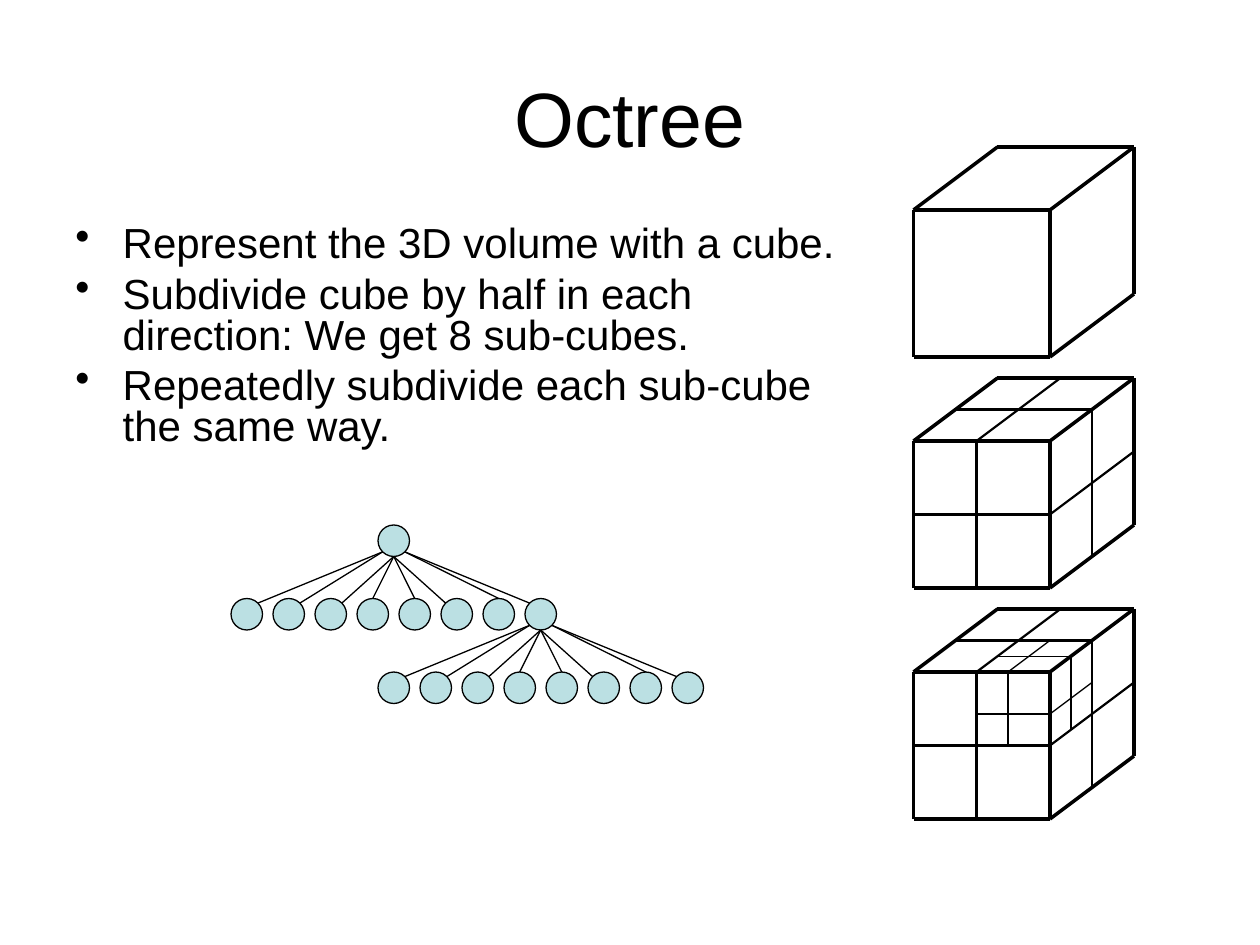
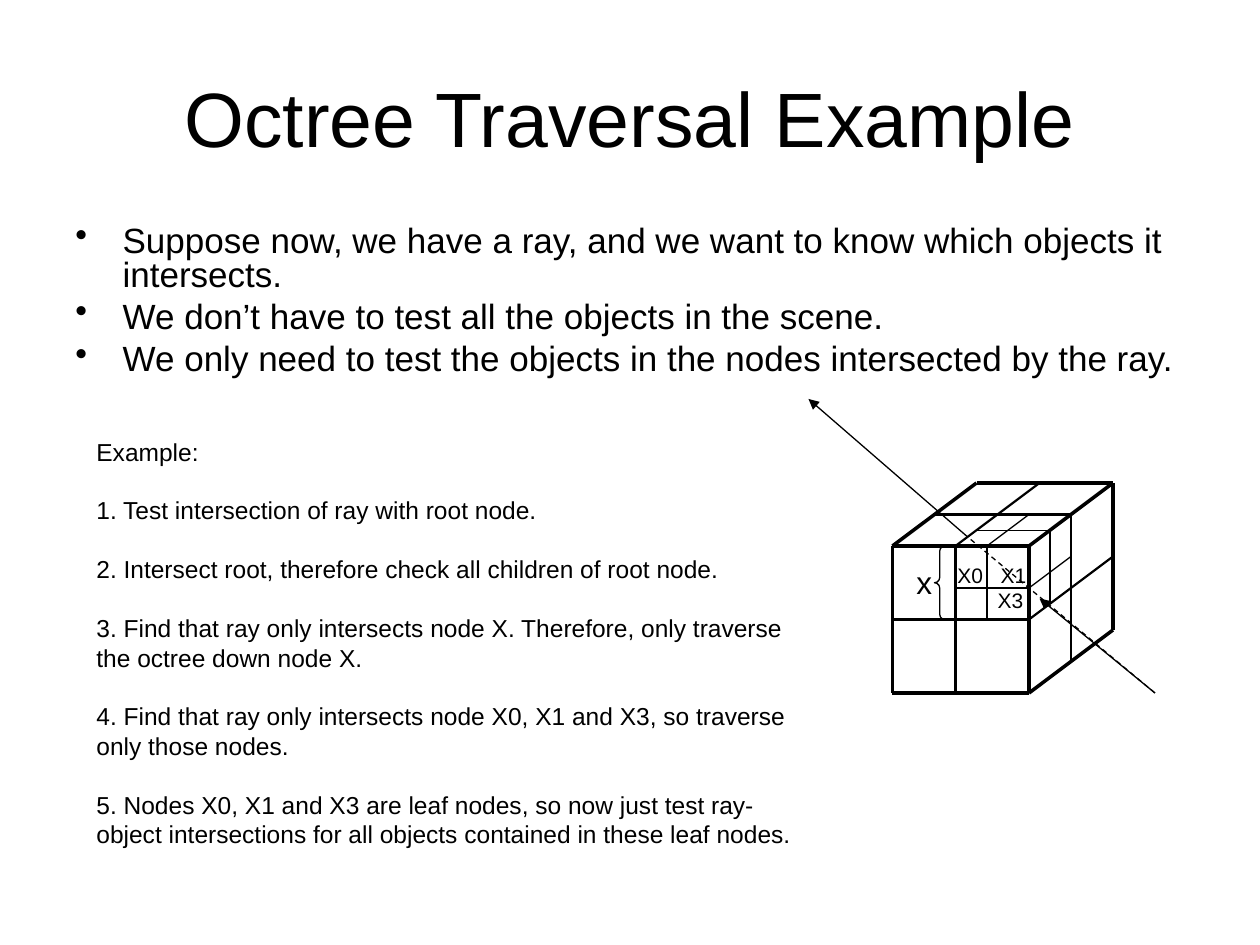
from dataclasses import dataclass
from typing import NamedTuple

from pptx import Presentation
from pptx.dml.color import RGBColor
from pptx.enum.dml import MSO_LINE
from pptx.enum.shapes import MSO_CONNECTOR, MSO_SHAPE as Preset
from pptx.enum.text import MSO_ANCHOR as Anchor, PP_ALIGN as Align
from pptx.oxml.ns import qn
from pptx.oxml.xmlchemy import OxmlElement as new_element
from pptx.shapes.autoshape import Shape
from pptx.slide import Slide
from pptx.text.text import _Paragraph as Paragraph
from pptx.util import Cm, Length, Pt

COLORS = {"ink": "000000", "node": "BBE0E3"}
FONT = "Arial"
GRID = 2.54 / 12  # both slides are laid out on a twelfth-of-an-inch grid
HAIR, MEDIUM, HEAVY = 0.75, 1.25, 2


class Point(NamedTuple):
    x: float
    y: float


class Frame(NamedTuple):
    left: float
    top: float
    width: float
    height: float


class Corner(NamedTuple):
    """A place in a cube: across, down and into the depth (0 to 1)."""
    x: float
    y: float
    z: float


@dataclass(frozen=True)
class Block:
    near: Corner  # top left of the front face
    far: Corner   # bottom right of the back face
    split: Corner
    weight: float


@dataclass(frozen=True)
class Cube:
    origin: Point
    blocks: tuple[Block, ...] = ()


@dataclass(frozen=True)
class Bullets:
    frame: Frame
    size: float
    space: float
    lines: tuple[str, ...]


# Cube geometry
START, END = Corner(0, 0, 0), Corner(13, 14, 1)
SLANT = Point(8, -6)
HALVES = Block(START, END, Corner(6, 7, 0.5), MEDIUM)
QUARTERS = Block(Corner(6, 0, 0), Corner(13, 7, 0.5), Corner(9, 4, 0.25), HAIR)

# Tree geometry
NODE, FIRST_CHILD, CHILD_STEP, LEVEL_STEP = 3, -14, 4, 7
INSET = 0.44
TOP, BOTTOM = Point(NODE / 2, 0), Point(NODE / 2, NODE)
TOP_LEFT, TOP_RIGHT = Point(INSET, INSET), Point(NODE - INSET, INSET)
BOTTOM_LEFT, BOTTOM_RIGHT = Point(INSET, NODE - INSET), Point(NODE - INSET, NODE - INSET)
PARENT_ENDS = [BOTTOM_LEFT] * 2 + [BOTTOM] * 4 + [BOTTOM_RIGHT] * 2
CHILD_ENDS = [TOP_RIGHT] * 3 + [TOP] * 2 + [TOP_LEFT, TOP, TOP_LEFT]

# Wording
OCTREE_BULLETS = Bullets(Frame(6, 21, 75, 24), 24, 6, (
    "Represent the 3D volume with a cube.",
    "Subdivide cube by half in each direction: We get 8 sub-cubes.",
    "Repeatedly subdivide each sub-cube the same way.",
))
TRAVERSAL_BULLETS = Bullets(Frame(6, 21, 108, 21), 20, 5, (
    "Suppose now, we have a ray, and we want to know which objects it intersects.",
    "We don’t have to test all the objects in the scene.",
    "We only need to test the objects in the nodes intersected by the ray.",
))
STEPS = (
    "Example:",
    "1. Test intersection of ray with root node.",
    "2. Intersect root, therefore check all children of root node.",
    "3. Find that ray only intersects node X. Therefore, only traverse the octree down node X.",
    "4. Find that ray only intersects node X0, X1 and X3, so traverse only those nodes.",
    "5. Nodes X0, X1 and X3 are leaf nodes, so now just test ray-object intersections "
    "for all objects contained in these leaf nodes.",
)


def grid(units: float) -> Length:
    return Cm(units * GRID)


def color(name: str) -> RGBColor:
    return RGBColor.from_string(COLORS[name])


def shift(start: Point, offset: Point) -> Point:
    return Point(start.x + offset.x, start.y + offset.y)


# Text
def add_text(page: Slide, frame: Frame, lines: tuple[str, ...], size: float) -> Shape:
    box = page.shapes.add_textbox(*map(grid, frame))
    box.text_frame.word_wrap = True
    box.text_frame.text = "\n".join(lines)
    for para in box.text_frame.paragraphs:
        for span in para.runs:
            span.font.name = FONT
            span.font.size = Pt(size)
            span.font.color.rgb = color("ink")
    return box


def add_title(page: Slide, title: str) -> None:
    box = add_text(page, Frame(6, 3.6, 108, 15), (title,), 44)
    box.text_frame.vertical_anchor = Anchor.MIDDLE
    box.text_frame.paragraphs[0].alignment = Align.CENTER


def set_indent(para: Paragraph, margin: Length, first: Length) -> None:
    props = para._p.get_or_add_pPr()
    props.set("marL", str(margin))
    props.set("indent", str(first))


def add_bullets(page: Slide, bullets: Bullets) -> None:
    box = add_text(page, bullets.frame, bullets.lines, bullets.size)
    for para in box.text_frame.paragraphs:
        para.line_spacing = 0.8
        para.space_before = Pt(bullets.space)
        set_indent(para, grid(4.5), grid(-4.5))
        mark = new_element("a:buChar")
        mark.set("char", "•")
        para._p.get_or_add_pPr().append(mark)


def add_tab(para: Paragraph, place: Length) -> None:
    tabs, tab = new_element("a:tabLst"), new_element("a:tab")
    tab.set("pos", str(place))
    tab.set("algn", "l")
    tabs.append(tab)
    para._p.get_or_add_pPr().append(tabs)


# Lines and shapes
def add_line(page: Slide, start: Point, end: Point, weight: float = HAIR,
             dashed: bool = False, arrow: bool = False) -> None:
    line = page.shapes.add_connector(MSO_CONNECTOR.STRAIGHT, *map(grid, (*start, *end)))
    line.line.width = Pt(weight)
    line.line.color.rgb = color("ink")
    if dashed:
        line.line.dash_style = MSO_LINE.DASH
    props = line._element.spPr
    if arrow:
        head = new_element("a:tailEnd")
        head.set("type", "triangle")
        props.find(qn("a:ln")).append(head)
    props.append(new_element("a:effectLst"))


def add_outlined(page: Slide, preset: Preset, frame: Frame) -> Shape:
    shape = page.shapes.add_shape(preset, *map(grid, frame))
    shape.shadow.inherit = False
    shape.fill.background()
    shape.line.color.rgb = color("ink")
    shape.line.width = Pt(HAIR)
    return shape


# Cubes
def add_cube_edge(page: Slide, origin: Point, start: Corner, end: Corner, weight: float) -> None:
    ends = [shift(origin, Point(c.x + c.z * SLANT.x, c.y + c.z * SLANT.y))
            for c in (start, end)]
    add_line(page, *ends, weight)


def add_split(page: Slide, origin: Point, block: Block) -> None:
    """Draw the three cutting planes where they meet the front, top and side."""
    (x0, y0, z0), (x1, y1, z1), (x, y, z) = block.near, block.far, block.split
    for start, end in (
        ((x, y0, z0), (x, y1, z0)), ((x, y0, z0), (x, y0, z1)),
        ((x0, y, z0), (x1, y, z0)), ((x1, y, z0), (x1, y, z1)),
        ((x0, y0, z), (x1, y0, z)), ((x1, y0, z), (x1, y1, z)),
    ):
        add_cube_edge(page, origin, Corner(*start), Corner(*end), block.weight)


def add_cube(page: Slide, cube: Cube) -> None:
    rim = Block(START, END, Corner(START.x, END.y, END.z), HEAVY)
    add_split(page, cube.origin, rim)
    nearest = Corner(END.x, START.y, START.z)
    for end in (START, nearest._replace(y=END.y), nearest._replace(z=END.z)):
        add_cube_edge(page, cube.origin, nearest, end, HEAVY)
    for block in cube.blocks:
        add_split(page, cube.origin, block)


# Tree
def add_node(page: Slide, place: Point) -> None:
    node = add_outlined(page, Preset.OVAL, Frame(*place, NODE, NODE))
    node.fill.solid()
    node.fill.fore_color.rgb = color("node")


def add_children(page: Slide, parent: Point) -> Point:
    """Draw eight children and return the place of the last one."""
    child = parent
    for index, (parent_end, child_end) in enumerate(zip(PARENT_ENDS, CHILD_ENDS)):
        child = shift(parent, Point(FIRST_CHILD + index * CHILD_STEP, LEVEL_STEP))
        add_node(page, child)
        add_line(page, shift(child, child_end), shift(parent, parent_end))
    return child


# Slides
def build_octree(page: Slide) -> None:
    add_title(page, "Octree")
    add_bullets(page, OCTREE_BULLETS)
    for level, blocks in enumerate(((), (HALVES,), (HALVES, QUARTERS))):
        add_cube(page, Cube(Point(87, 20 + 22 * level), blocks))
    root = Point(36, 50)
    add_node(page, root)
    add_children(page, add_children(page, root))


def build_traversal(page: Slide) -> None:
    add_title(page, "Octree Traversal Example")
    add_bullets(page, TRAVERSAL_BULLETS)
    add_cube(page, Cube(Point(85, 52), (HALVES, QUARTERS)))

    # Ray, dashed inside the cube
    source, leaving = Point(110, 66), Point(92, 51)
    add_line(page, source, Point(99, 57), arrow=True)
    add_line(page, source, leaving, dashed=True)
    add_line(page, leaving, Point(77, 38), arrow=True)

    # Worked example
    steps = add_text(page, Frame(8, 41, 69, 43.2), STEPS, 14)
    for para in steps.text_frame.paragraphs[1:]:
        para.space_before = Pt(16.8)

    # Node labels
    add_text(page, Frame(86.1, 53, 5, 4.8), ("x",), 18)
    brace = add_outlined(page, Preset.LEFT_BRACE, Frame(89, 52, 1, 7))
    brace.adjustments[0] = 0.5
    leaves = add_text(page, Frame(90, 53, 10, 6), ("X0\tX1", "X3"), 12)
    upper, lower = leaves.text_frame.paragraphs
    add_tab(upper, Cm(0.87))
    set_indent(lower, Cm(0.81), Cm(0))


def main() -> None:
    deck = Presentation()
    deck.slide_width, deck.slide_height = Cm(25.4), Cm(19.05)
    for build in (build_octree, build_traversal):
        build(deck.slides.add_slide(deck.slide_layouts[6]))
    deck.save("out.pptx")


if __name__ == "__main__":
    main()
